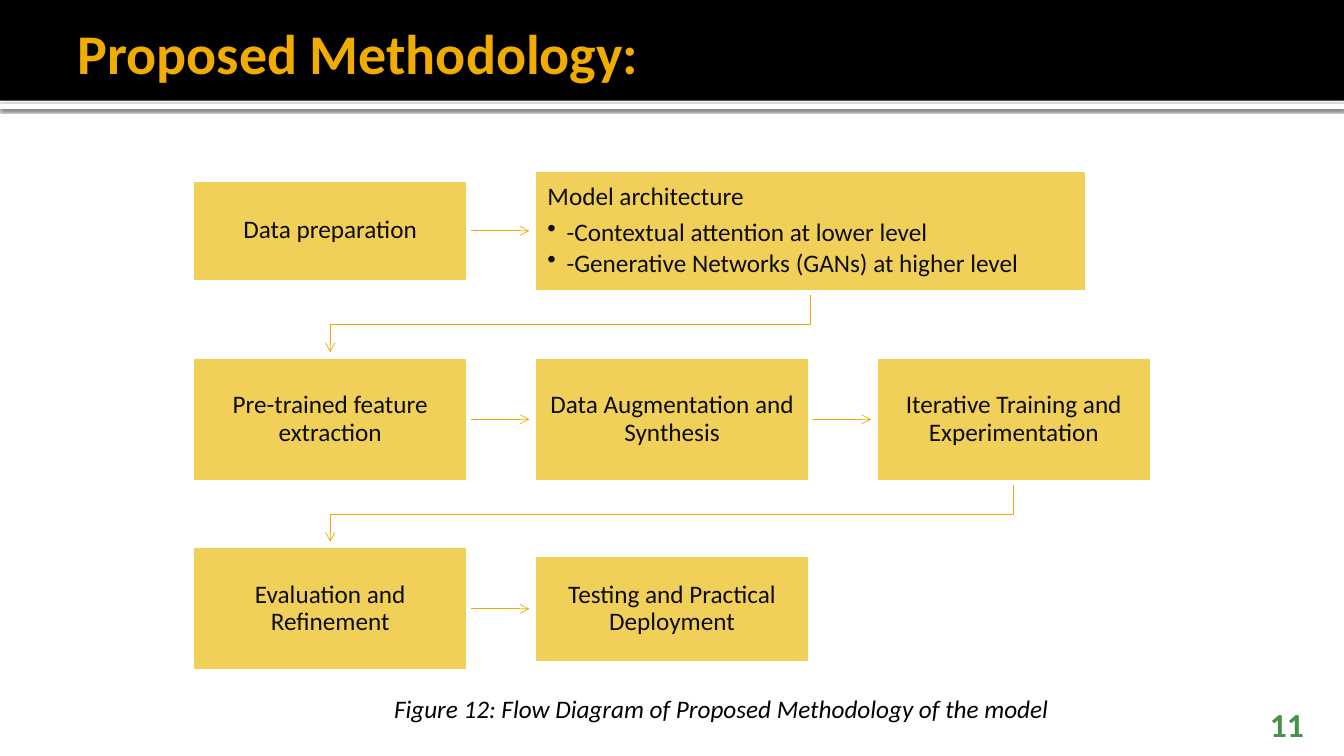
from lxml.etree import SubElement
from pptx import Presentation
from pptx.dml.color import RGBColor
from pptx.enum.shapes import MSO_CONNECTOR, MSO_SHAPE
from pptx.enum.text import MSO_ANCHOR, MSO_AUTO_SIZE, PP_ALIGN
from pptx.oxml.ns import qn
from pptx.util import Inches, Pt

COLORS = {"white": "FFFFFF", "black": "000000", "gold": "F0AD00",
          "box": "F1D059", "ink": "0D0D0D", "green": "479249"}
COLUMNS = [1.9 + 3.39 * column for column in range(3)]
ROWS = [2.29, 4.16, 6.04]
BOX_WIDTH = 2.75
STEPS = {
    "prepare": (0, 0, BOX_WIDTH, 1.03, ["Data preparation"]),
    "model": (1, 0, 5.5, 1.22, ["Model architecture",
                                "-Contextual attention at lower level",
                                "-Generative Networks (GANs) at higher level"]),
    "extract": (0, 1, BOX_WIDTH, 1.25, ["Pre-trained feature extraction"]),
    "augment": (1, 1, BOX_WIDTH, 1.25, ["Data Augmentation and Synthesis"]),
    "train": (2, 1, BOX_WIDTH, 1.25, ["Iterative Training and Experimentation"]),
    "evaluate": (0, 2, BOX_WIDTH, 1.25, ["Evaluation and Refinement"]),
    "deploy": (1, 2, BOX_WIDTH, 1.08, ["Testing and Practical Deployment"]),
}
STRAIGHT_ARROWS = ["prepare", "extract", "augment", "evaluate"]
TURNING_ARROWS = [("model", "extract"), ("train", "evaluate")]


def color(name):
    """Return the named colour."""
    return RGBColor.from_string(COLORS[name])


def assign(target, values):
    """Set each attribute of the target from a dict."""
    for name, value in values.items():
        setattr(target, name, value)


class FlowSlide:
    """Hold the style and the current slide."""

    font = "Calibri"

    def __init__(self, slide):
        """Keep the slide to draw on."""
        self.slide = slide

    def set_text(self, shape, lines, size, color_name, frame=None, paragraph=None, font=None):
        """Fill a shape with formatted lines of text."""
        text_frame = shape.text_frame
        text_frame.text = "\n".join(lines)
        assign(text_frame, {"word_wrap": True, **(frame or {})})
        for line in text_frame.paragraphs:
            assign(line, paragraph or {})
            for run in line.runs:
                assign(run.font, {"name": self.font, "size": Pt(size), **(font or {})})
                run.font.color.rgb = color(color_name)

    def title(self, text, bounds):
        """Move and format the title placeholder."""
        shape = self.slide.shapes.title
        assign(shape, dict(zip(("left", "top", "width", "height"), map(Inches, bounds))))
        frame = {"vertical_anchor": MSO_ANCHOR.MIDDLE, "auto_size": MSO_AUTO_SIZE.NONE,
                 "margin_right": Inches(0.05)}
        self.set_text(shape, [text], 40, "gold", frame,
                      {"alignment": PP_ALIGN.LEFT}, {"bold": True})

    def text(self, text, bounds, size, color_name, **formats):
        """Add a text box."""
        shape = self.slide.shapes.add_textbox(*map(Inches, bounds))
        self.set_text(shape, [text], size, color_name, **formats)

    def rectangle(self, bounds, fill):
        """Add a plain rectangle."""
        shape = self.slide.shapes.add_shape(MSO_SHAPE.RECTANGLE, *map(Inches, bounds))
        shape.shadow.inherit = False
        shape.fill.solid()
        shape.fill.fore_color.rgb = color(fill)
        shape.line.fill.background()
        return shape

    def bar(self, top, height, fill, shadow=False):
        """Add a full-width header bar behind the title."""
        shape = self.rectangle((0, top, 13.33, height), fill)
        if shadow:
            effects = shape._element.spPr.find(qn("a:effectLst"))
            outer = SubElement(effects, qn("a:outerShdw"), blurRad=str(Pt(2.5)),
                               dist=str(Pt(0.8)), dir="5400000", algn="tl", rotWithShape="0")
            shade = SubElement(outer, qn("a:srgbClr"), val=COLORS["black"])
            SubElement(shade, qn("a:alpha"), val="60000")
        self.slide.shapes.title._element.addprevious(shape._element)

    def step(self, column, row, width, height, lines):
        """Add a process box, with bullets below its first line if it has several."""
        shape = self.rectangle((COLUMNS[column], ROWS[row] - height / 2, width, height), "box")
        shape.line.color.rgb = color("white")
        shape.line.width = Pt(3.78)
        is_list = len(lines) > 1
        margins = dict.fromkeys(
            ("margin_left", "margin_top", "margin_right", "margin_bottom"), Inches(0.14))
        anchor = MSO_ANCHOR.TOP if is_list else MSO_ANCHOR.MIDDLE
        alignment = PP_ALIGN.LEFT if is_list else PP_ALIGN.CENTER
        self.set_text(shape, lines, 18, "ink", {**margins, "vertical_anchor": anchor},
                      {"alignment": alignment, "line_spacing": 0.9, "space_after": Pt(6.3)})
        for paragraph in shape.text_frame.paragraphs[1:]:
            assign(paragraph, {"level": 1, "space_after": Pt(2.7)})
            properties = paragraph._p.get_or_add_pPr()
            properties.set("marL", str(Inches(0.19)))
            properties.set("indent", str(-Inches(0.19)))
            SubElement(properties, qn("a:buChar"), char="•")
        return shape

    def arrow_line(self, shape, origin):
        """Style an arrow and place it behind the box it leaves."""
        shape.line.color.rgb = color("gold")
        shape.line.width = Pt(0.5)
        SubElement(shape.line._get_or_add_ln(), qn("a:tailEnd"), type="arrow")
        origin._element.addprevious(shape._element)

    def straight_arrow(self, origin):
        """Add an arrow from the right side of a box."""
        left = origin.left + origin.width
        middle = origin.top + origin.height // 2
        connector = self.slide.shapes.add_connector(
            MSO_CONNECTOR.STRAIGHT, left, middle, left + Inches(0.6), middle)
        connector.begin_connect(origin, 3)
        SubElement(connector._element.spPr, qn("a:effectLst"))
        self.arrow_line(connector, origin)

    def turning_arrow(self, origin, target):
        """Add an arrow from below a box to above the first box of the next row."""
        start = origin.left + origin.width // 2
        end = target.left + target.width // 2
        bottom = origin.top + origin.height
        bend = bottom + Inches(0.32)
        builder = self.slide.shapes.build_freeform(start, bottom)
        builder.add_line_segments(
            [(start, bend), (end, bend), (end, target.top - Inches(0.04))], close=False)
        shape = builder.convert_to_shape()
        shape.shadow.inherit = False
        shape.fill.background()
        self.arrow_line(shape, origin)


def main():
    """Build and save the slide."""
    presentation = Presentation()
    assign(presentation, {"slide_width": Inches(13.33), "slide_height": Inches(7.5)})
    flow = FlowSlide(presentation.slides.add_slide(presentation.slide_layouts[5]))
    flow.title("Proposed Methodology:", (0.67, 0.08, 12, 0.87))
    flow.bar(1.03, 0.05, "white", shadow=True)
    flow.bar(0, 1, "black")
    boxes = {name: flow.step(*values) for name, values in STEPS.items()}
    for name in STRAIGHT_ARROWS:
        flow.straight_arrow(boxes[name])
    for origin, target in TURNING_ARROWS:
        flow.turning_arrow(boxes[origin], boxes[target])
    flow.text("11", (11.96, 7.08, 1.07, 0.3), 24, "green",
              frame={"vertical_anchor": MSO_ANCHOR.BOTTOM, "margin_bottom": 0},
              paragraph={"alignment": PP_ALIGN.RIGHT}, font={"bold": True})
    flow.text("Figure 12: Flow Diagram of Proposed Methodology of the model",
              (2.87, 6.83, 8.57, 0.4), 18, "black",
              frame={"auto_size": MSO_AUTO_SIZE.SHAPE_TO_FIT_TEXT},
              paragraph={"alignment": PP_ALIGN.CENTER}, font={"italic": True})
    presentation.save("out.pptx")


if __name__ == "__main__":
    main()
